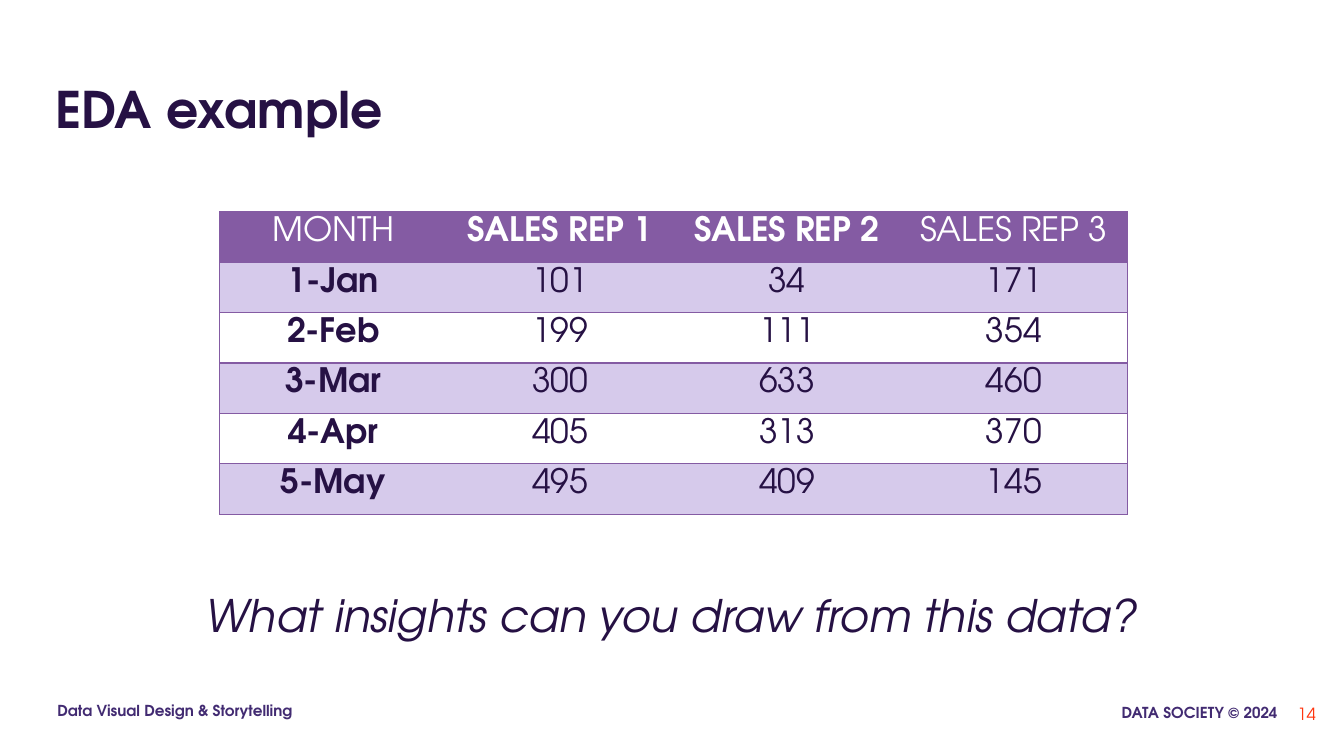
import pptx
import pptx.dml.color
import pptx.enum.text
import pptx.oxml
import pptx.oxml.ns
import pptx.util
from pptx.util import Inches

ALIGN = pptx.enum.text.PP_ALIGN
ANCHOR = pptx.enum.text.MSO_ANCHOR

THEME = {
    "font": "TeX Gyre Adventor",
    "ink": "261144",
    "footer": "422B72",
    "accent": "FF350F",
    "header": "845BA3",
    "band": "D6CAEB",
    "white": "FFFFFF",
    "title_size": 36,
    "question_size": 32,
    "table_size": 24,
    "number_size": 12,
    "footer_size": 10.8,
}

SALES = [
    ("MONTH", "SALES REP 1", "SALES REP 2", "SALES REP 3"),
    ("1-Jan", "101", "34", "171"),
    ("2-Feb", "199", "111", "354"),
    ("3-Mar", "300", "633", "460"),
    ("4-Apr", "405", "313", "370"),
    ("5-May", "495", "409", "145"),
]
BOLD_HEADINGS = ("SALES REP 1", "SALES REP 2")
TABLE_LEFT, TABLE_TOP = 2.18, 2.1
COLUMN_WIDTH, ROW_HEIGHT = 2.25, 0.41
PLAIN_TABLE_STYLE = "{2D5ABB26-0587-4C30-8999-92F81FD0307C}"

WIDE_INSETS = (0.12, 0.12)
INSETS = (0.1, 0.05)
TEXTS = [
    ("DATA SOCIETY © 2024", (10.57, 6.89, 2.22, 0.42), WIDE_INSETS,
     ANCHOR.TOP, ALIGN.RIGHT, "footer_size", "footer", True, False),
    ("Data Visual Design & Storytelling", (0.45, 6.87, 2.74, 0.42), WIDE_INSETS,
     ANCHOR.TOP, ALIGN.LEFT, "footer_size", "footer", True, False),
    ("14", (12.35, 6.8, 0.8, 0.57), INSETS,
     ANCHOR.MIDDLE, ALIGN.RIGHT, "number_size", "accent", False, False),
    ("EDA example", (0.45, 0.58, 12.42, 0.84), INSETS,
     ANCHOR.BOTTOM, ALIGN.LEFT, "title_size", "ink", True, False),
    ("What insights can you draw from this data?", (1.1, 5.78, 11.13, 0.64), INSETS,
     ANCHOR.TOP, ALIGN.CENTER, "question_size", "ink", False, True),
]


def theme_color(name):
    return pptx.dml.color.RGBColor.from_string(THEME[name])


def set_insets(holder, insets):
    holder.margin_left = holder.margin_right = Inches(insets[0])
    holder.margin_top = holder.margin_bottom = Inches(insets[1])


def write(paragraph, text, align, size, color, bold, italic=False):
    paragraph.text = text
    paragraph.alignment = align
    font = paragraph.font
    font.name = THEME["font"]
    font.size = pptx.util.Pt(THEME[size])
    font.color.rgb = theme_color(color)
    font.bold = bold
    font.italic = italic


def add_text(slide, text, box, insets, anchor, *style):
    frame = slide.shapes.add_textbox(*map(Inches, box)).text_frame
    frame.word_wrap = True
    frame.vertical_anchor = anchor
    set_insets(frame, insets)
    write(frame.paragraphs[0], text, *style)


def add_borders(cell, sides):
    properties = cell._tc.get_or_add_tcPr()
    for position, side in enumerate(sides):
        line = pptx.oxml.parse_xml(
            f'<a:ln{side} {pptx.oxml.ns.nsdecls("a")} w="12700"><a:solidFill>'
            f'<a:srgbClr val="{THEME["header"]}"/></a:solidFill></a:ln{side}>'
        )
        properties.insert(position, line)


def add_sales_table(slide):
    row_count, column_count = len(SALES), len(SALES[0])
    table = slide.shapes.add_table(
        row_count, column_count, Inches(TABLE_LEFT), Inches(TABLE_TOP),
        Inches(COLUMN_WIDTH * column_count), Inches(ROW_HEIGHT * row_count),
    ).table
    table._tbl.tblPr.find(pptx.oxml.ns.qn("a:tableStyleId")).text = PLAIN_TABLE_STYLE
    for column in table.columns:
        column.width = Inches(COLUMN_WIDTH)
    for row_index, values in enumerate(SALES):
        table.rows[row_index].height = Inches(ROW_HEIGHT)
        is_header = row_index == 0
        fill = "header" if is_header else ("white", "band")[row_index % 2]
        for column_index, value in enumerate(values):
            cell = table.cell(row_index, column_index)
            is_first, is_last = column_index == 0, column_index == column_count - 1
            set_insets(cell, INSETS)
            cell.fill.solid()
            cell.fill.fore_color.rgb = theme_color(fill)
            bold = value in BOLD_HEADINGS if is_header else is_first
            write(cell.text_frame.paragraphs[0], value, ALIGN.CENTER,
                  "table_size", "white" if is_header else "ink", bold)
            add_borders(cell, "L" * is_first + "R" * is_last + "TB")


def main():
    presentation = pptx.Presentation()
    presentation.slide_width = Inches(13.33)
    presentation.slide_height = Inches(7.5)
    slide = presentation.slides.add_slide(presentation.slide_layouts[6])
    for text in TEXTS:
        add_text(slide, *text)
    add_sales_table(slide)
    presentation.save("out.pptx")


if __name__ == "__main__":
    main()
